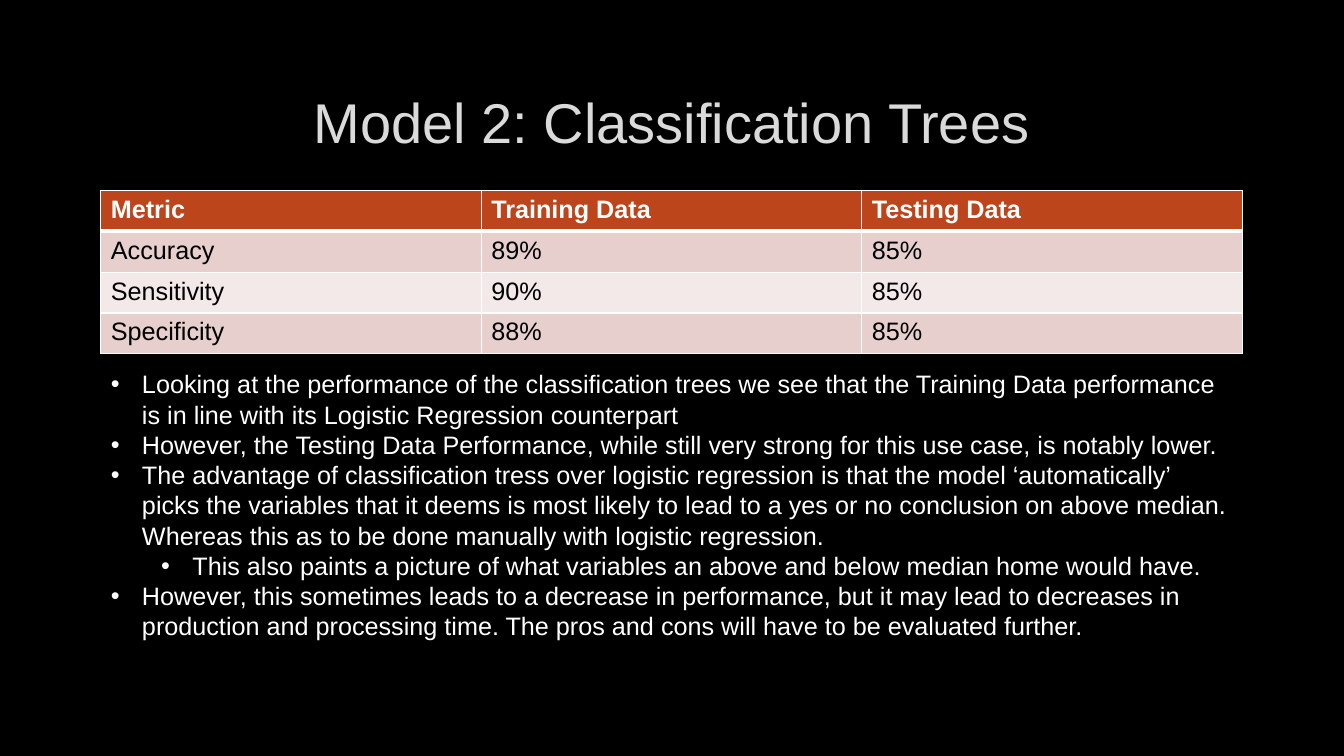
from lxml.etree import SubElement
from pptx import Presentation
from pptx.dml.color import RGBColor
from pptx.enum.text import MSO_ANCHOR, MSO_AUTO_SIZE, PP_ALIGN
from pptx.oxml.ns import qn
from pptx.util import Inches, Pt

TITLE = "Model 2: Classification Trees"
METRICS = [
    ("Metric", "Training Data", "Testing Data"),
    ("Accuracy", "89%", "85%"),
    ("Sensitivity", "90%", "85%"),
    ("Specificity", "88%", "85%"),
]
BULLETS = [
    (0, "Looking at the performance of the classification trees we see that the Training Data "
        "performance is in line with its Logistic Regression counterpart"),
    (0, "However, the Testing Data Performance, while still very strong for this use case, "
        "is notably lower."),
    (0, "The advantage of classification tress over logistic regression is that the model "
        "‘automatically’ picks the variables that it deems is most likely to lead to a yes or no "
        "conclusion on above median. Whereas this as to be done manually with logistic regression."),
    (1, "This also paints a picture of what variables an above and below median home would have."),
    (0, "However, this sometimes leads to a decrease in performance, but it may lead to decreases "
        "in production and processing time. The pros and cons will have to be evaluated further."),
]
FONT = "Arial"
BLACK, WHITE, TITLE_GRAY = "000000", "FFFFFF", "DADADA"
HEADER_FILL, BAND_FILLS = "BC451B", ("F3E9E8", "E7CFCD")
LEFT, WIDTH = 1, 11.32
ROW_HEIGHT = 0.405
INDENT, LEVEL_STEP = 0.31, 0.5


def fill_solid(fill, color):
    fill.solid()
    fill.fore_color.rgb = RGBColor.from_string(color)


def add_text(paragraph, text, size, color, bold=False):
    run = paragraph.add_run()
    run.text = text
    run.font.name = FONT
    run.font.size = Pt(size)
    run.font.bold = bold
    run.font.color.rgb = RGBColor.from_string(color)


def add_borders(cell, widths):
    properties = cell._tc.get_or_add_tcPr()
    for side, width in widths.items():
        line = SubElement(properties, qn(f"a:ln{side}"), w=str(Pt(width)))
        solid = SubElement(line, qn("a:solidFill"))
        SubElement(solid, qn("a:srgbClr"), val=WHITE)


def add_bullet(paragraph, level):
    paragraph.level = level
    properties = paragraph._p.get_or_add_pPr()
    properties.set("marL", str(Inches(INDENT + LEVEL_STEP * level)))
    properties.set("indent", str(Inches(-INDENT)))
    SubElement(properties, qn("a:buFont"), typeface=FONT)
    SubElement(properties, qn("a:buChar"), char="•")


def add_title(slide):
    title = slide.shapes.title
    title.left, title.top = Inches(LEFT), Inches(0.67)
    title.width, title.height = Inches(WIDTH), Inches(1.06)
    frame = title.text_frame
    frame.auto_size = MSO_AUTO_SIZE.NONE
    frame.vertical_anchor = MSO_ANCHOR.MIDDLE
    paragraph = frame.paragraphs[0]
    paragraph.alignment = PP_ALIGN.CENTER
    add_text(paragraph, TITLE, 40, TITLE_GRAY)


def add_metrics_table(slide):
    table = slide.shapes.add_table(
        len(METRICS), len(METRICS[0]), Inches(LEFT), Inches(1.89),
        Inches(WIDTH), Inches(ROW_HEIGHT * len(METRICS))).table
    for row_index, values in enumerate(METRICS):
        header = row_index == 0
        for column_index, value in enumerate(values):
            cell = table.cell(row_index, column_index)
            add_borders(cell, {"L": 1, "R": 1, "T": 3 if row_index == 1 else 1,
                               "B": 3 if header else 1})
            fill_solid(cell.fill, HEADER_FILL if header else BAND_FILLS[row_index % 2])
            add_text(cell.text_frame.paragraphs[0], value, 18,
                     WHITE if header else BLACK, header)


def add_findings(slide):
    box = slide.shapes.add_textbox(Inches(LEFT), Inches(3.61), Inches(WIDTH), Inches(2.83))
    frame = box.text_frame
    frame.word_wrap = True
    frame.auto_size = MSO_AUTO_SIZE.SHAPE_TO_FIT_TEXT
    for index, (level, text) in enumerate(BULLETS):
        paragraph = frame.add_paragraph() if index else frame.paragraphs[0]
        add_bullet(paragraph, level)
        add_text(paragraph, text, 18, WHITE)


def main():
    presentation = Presentation()
    presentation.slide_width, presentation.slide_height = Inches(13.33), Inches(7.5)
    slide = presentation.slides.add_slide(presentation.slide_layouts[5])
    fill_solid(slide.background.fill, BLACK)
    add_title(slide)
    add_metrics_table(slide)
    add_findings(slide)
    presentation.save("out.pptx")


if __name__ == "__main__":
    main()
